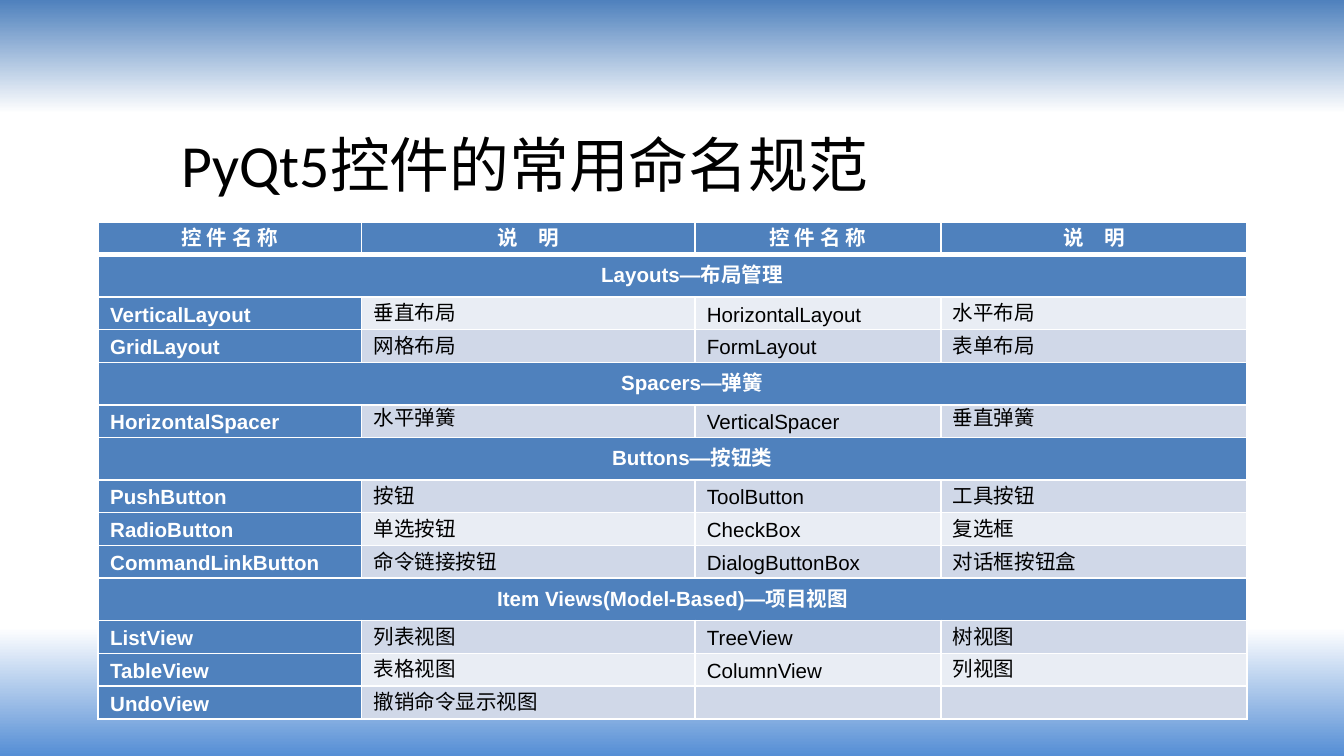
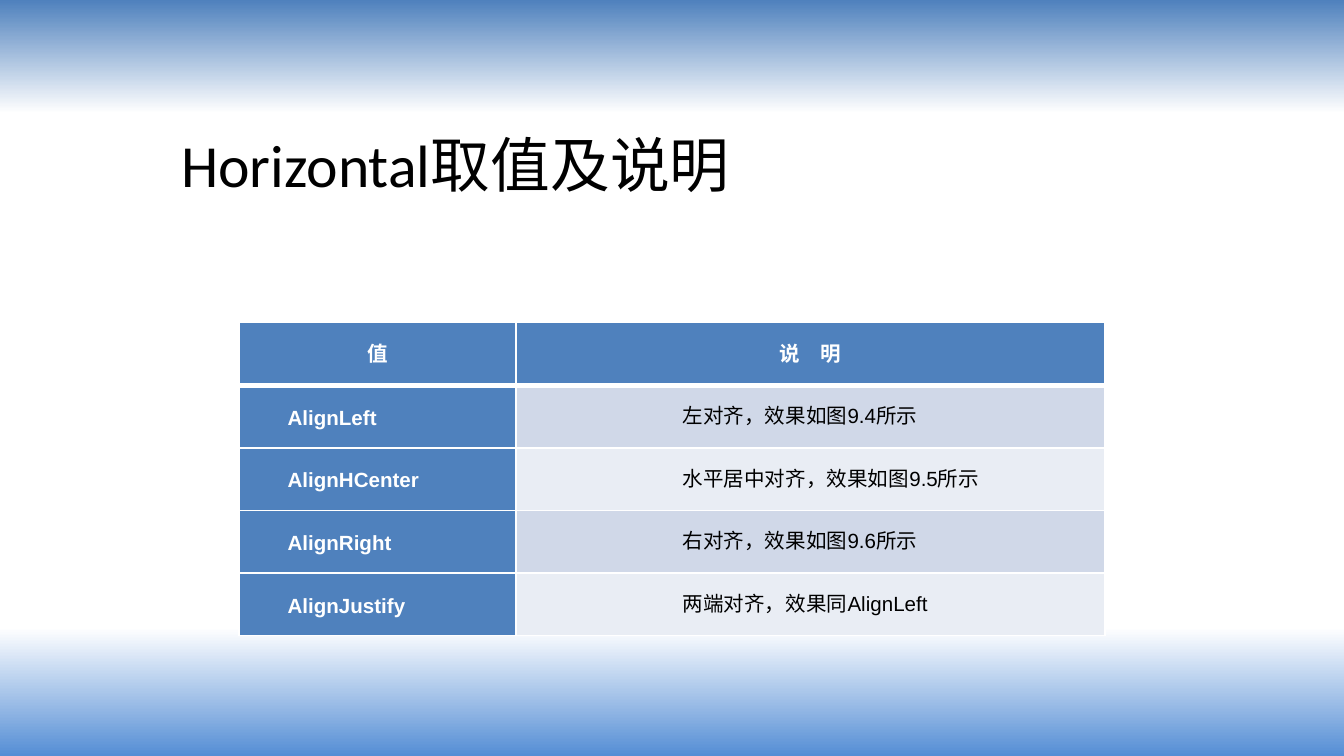
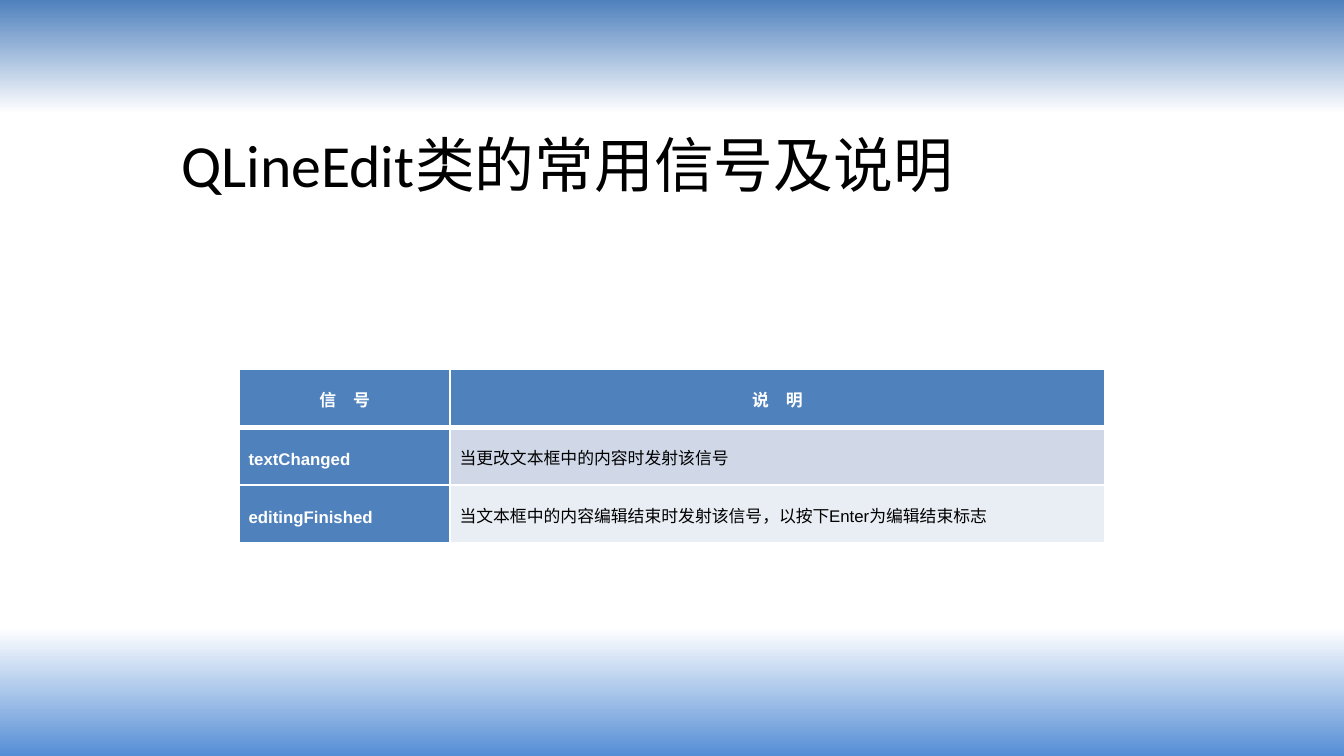
from lxml import etree
from pptx import Presentation
from pptx.dml.color import RGBColor
from pptx.enum.text import MSO_ANCHOR, PP_ALIGN
from pptx.oxml.ns import qn
from pptx.util import Inches, Pt

CENTER, JUSTIFY = PP_ALIGN.CENTER, PP_ALIGN.JUSTIFY
TOP, MIDDLE = MSO_ANCHOR.TOP, MSO_ANCHOR.MIDDLE

COLORS = {
    "accent": "4F81BD",
    "floor": "558ED5",
    "white": "FFFFFF",
    "black": "000000",
    "odd_row": "D0D8E8",
    "even_row": "E9EDF4",
}
BACKGROUND_STOPS = [(0, "accent"), (15, "white"), (83, "white"), (100, "floor")]
TITLE_FONT, TABLE_FONT = "Calibri", "Arial"
FIRST_LINE = 0.29
THIN, THICK = 1, 3

WIDGET_ROWS = [
    ["控 件 名 称", "说　明", "控 件 名 称", "说　明"],
    ["Layouts—布局管理"],
    ["VerticalLayout", "垂直布局", "HorizontalLayout", "水平布局"],
    ["GridLayout", "网格布局", "FormLayout", "表单布局"],
    ["Spacers—弹簧"],
    ["HorizontalSpacer", "水平弹簧", "VerticalSpacer", "垂直弹簧"],
    ["Buttons—按钮类"],
    ["PushButton", "按钮", "ToolButton", "工具按钮"],
    ["RadioButton", "单选按钮", "CheckBox", "复选框"],
    ["CommandLinkButton", "命令链接按钮", "DialogButtonBox", "对话框按钮盒"],
    ["Item Views(Model-Based)—项目视图"],
    ["ListView", "列表视图", "TreeView", "树视图"],
    ["TableView", "表格视图", "ColumnView", "列视图"],
    ["UndoView", "撤销命令显示视图", "", ""],
]
SPACER_ROW = 5
ITEM_VIEWS_ROW = 10

ALIGNMENT_ROWS = [
    ["值", "说　明"],
    ["AlignLeft", "左对齐，效果如图9.4所示"],
    ["AlignHCenter", "水平居中对齐，效果如图9.5所示"],
    ["AlignRight", "右对齐，效果如图9.6所示"],
    ["AlignJustify", "两端对齐，效果同AlignLeft"],
]

SIGNAL_ROWS = [
    ["信　号", "说　明"],
    ["textChanged", "当更改文本框中的内容时发射该信号"],
    ["editingFinished", "当文本框中的内容编辑结束时发射该信号，以按下Enter为编辑结束标志"],
]


def color(name):
    return RGBColor.from_string(COLORS[name])


def set_background(master):
    fill = master.background.fill
    fill.gradient()
    fill.gradient_angle = 270
    stops = master.element.find(".//" + qn("p:bgPr")).find(".//" + qn("a:gsLst"))
    for stop in list(stops):
        stops.remove(stop)
    for percent, name in BACKGROUND_STOPS:
        stop = etree.SubElement(stops, qn("a:gs"), pos=str(percent * 1000))
        etree.SubElement(stop, qn("a:srgbClr"), val=COLORS[name])


def format_run(run, font_name, size, color_name, bold=False):
    run.font.name = font_name
    run.font.size = Pt(size)
    run.font.bold = bold
    run.font.color.rgb = color(color_name)


def add_titled_slide(presentation, title, title_width):
    slide = presentation.slides.add_slide(presentation.slide_layouts[6])
    box = slide.shapes.add_textbox(
        Inches(1.25), Inches(0.9), Inches(title_width), Inches(0.67))
    box.text_frame.word_wrap = True
    box.text_frame.text = title
    format_run(box.text_frame.paragraphs[0].runs[0], TITLE_FONT, 32, "black")
    return slide


def set_borders(cell, top, bottom):
    properties = cell._tc.get_or_add_tcPr()
    for side, width in (("L", THIN), ("R", THIN), ("T", top), ("B", bottom)):
        line = etree.SubElement(properties, qn("a:ln" + side), w=str(Pt(width)))
        fill = etree.SubElement(line, qn("a:solidFill"))
        etree.SubElement(fill, qn("a:srgbClr"), val=COLORS["white"])


def set_insets(cell, horizontal, vertical):
    cell.margin_left = cell.margin_right = Inches(horizontal)
    cell.margin_top = cell.margin_bottom = Inches(vertical)


def set_indent(cell, left, first_line):
    properties = cell.text_frame.paragraphs[0]._p.get_or_add_pPr()
    properties.set("marL", str(Inches(left)))
    properties.set("indent", str(Inches(first_line)))


def fill_cell(cell, text, size, alignment, fill_name, strong):
    cell.fill.solid()
    cell.fill.fore_color.rgb = color(fill_name)
    cell.vertical_anchor = MIDDLE
    cell.text_frame.text = text
    paragraph = cell.text_frame.paragraphs[0]
    paragraph.alignment = alignment
    paragraph.line_spacing = Pt(14)
    for run in paragraph.runs:
        format_run(run, TABLE_FONT, size, "white" if strong else "black", strong)
    if not text:
        etree.SubElement(paragraph._p, qn("a:endParaRPr"), sz=str(size * 100))


def add_grid(slide, left, top, column_widths, height, rows, size, inset):
    """Add a banded table; a row with a single text spans all columns."""
    table = slide.shapes.add_table(
        len(rows), len(column_widths), Inches(left), Inches(top),
        Inches(sum(column_widths)), Inches(height)).table
    table.first_col = True
    for column, width in zip(table.columns, column_widths):
        column.width = Inches(width)
    for row_index, texts in enumerate(rows):
        table.rows[row_index].height = Inches(height / len(rows))
        cells = list(table.rows[row_index].cells)
        is_header, is_section = row_index == 0, len(texts) == 1
        for cell in cells:
            set_borders(cell, THICK if row_index == 1 else THIN,
                        THICK if is_header else THIN)
            set_insets(cell, inset, 0)
        if is_section:
            cells[0].merge(cells[-1])
            set_insets(cells[0], 0.12, 0.06)
        band = "odd_row" if row_index % 2 else "even_row"
        for column_index, (cell, text) in enumerate(zip(cells, texts)):
            strong = is_header or column_index == 0
            fill_cell(cell, text, size, CENTER if is_header or is_section else JUSTIFY,
                      "accent" if strong else band, strong)
    return table


def add_widget_slide(presentation):
    slide = add_titled_slide(presentation, "PyQt5控件的常用命名规范", 6.08)
    table = add_grid(slide, 0.73, 1.65, [1.96, 2.48, 1.83, 2.28], 3.42,
                     WIDGET_ROWS, 11, 0.09)
    for row_index, texts in enumerate(WIDGET_ROWS):
        if len(texts) == 1 and row_index != ITEM_VIEWS_ROW:
            set_indent(table.cell(row_index, 0), 0, FIRST_LINE)
    for column_index in (1, 3):
        table.cell(SPACER_ROW, column_index).vertical_anchor = TOP


def add_alignment_slide(presentation):
    slide = add_titled_slide(presentation, "Horizontal取值及说明", 4.83)
    table = add_grid(slide, 1.78, 2.4, [2.06, 4.38], 2.33, ALIGNMENT_ROWS, 11, 0.07)
    for row_index in range(1, len(ALIGNMENT_ROWS)):
        set_indent(table.cell(row_index, 0), 0, FIRST_LINE)
        set_indent(table.cell(row_index, 1), 0.88, FIRST_LINE)


def add_signal_slide(presentation):
    slide = add_titled_slide(presentation, "QLineEdit类的常用信号及说明", 8.25)
    add_grid(slide, 1.78, 2.75, [1.57, 4.87], 1.29, SIGNAL_ROWS, 9, 0.07)


def main():
    presentation = Presentation()
    presentation.slide_width = Inches(10)
    presentation.slide_height = Inches(10 * 9 / 16)
    set_background(presentation.slide_master)
    add_widget_slide(presentation)
    add_alignment_slide(presentation)
    add_signal_slide(presentation)
    presentation.save("out.pptx")


if __name__ == "__main__":
    main()
